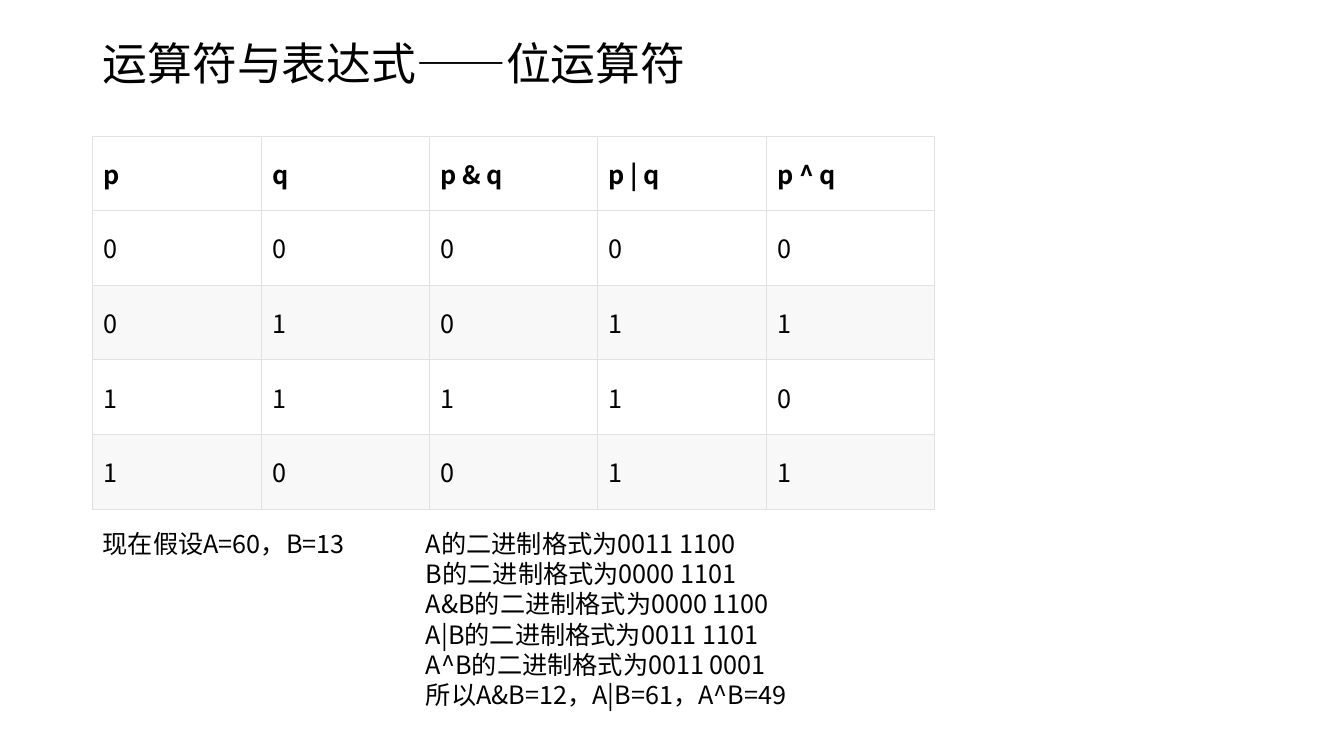
from dataclasses import dataclass

from lxml import etree
from pptx import Presentation, util as u
from pptx.dml.color import RGBColor
from pptx.enum import text
from pptx.oxml import ns


@dataclass(frozen=True)
class Theme:
    font: str = "Noto Sans CJK SC"
    ink: str = "000000"
    plain: str = "FFFFFF"
    band: str = "F8F8F8"
    rule: str = "DFE2E5"
    line: float = 0.6
    head: int = 32
    body: int = 18


@dataclass(frozen=True)
class Grid:
    left: float = 0.92
    top: float = 1.35
    col: float = 1.67
    row: float = 0.74

    def place(self, col: float, row: float, cols: float, rows: float) -> list[int]:
        return [u.Inches(n) for n in (
            self.left + col * self.col, self.top + row * self.row,
            cols * self.col, rows * self.row)]


@dataclass(frozen=True)
class Note:
    lines: tuple[str, ...]
    col: float
    row: float
    cols: float
    rows: float
    size: int
    space: float = 1.0
    anchor: text.MSO_ANCHOR = text.MSO_ANCHOR.TOP


THEME = Theme()
GRID = Grid()
NOTES = (
    Note(("运算符与表达式——位运算符",), 0, -1.28, 6.89, 0.68,
         THEME.head, 0.9, text.MSO_ANCHOR.MIDDLE),
    Note(("现在假设A=60，B=13",), 0, 5.19, 1.75, 0.54, THEME.body),
    Note(("A的二进制格式为0011 1100",
          "B的二进制格式为0000 1101",
          "A&B的二进制格式为0000 1100",
          "A|B的二进制格式为0011 1101",
          "A^B的二进制格式为0011 0001",
          "所以A&B=12，A|B=61，A^B=49"), 1.92, 5.19, 2.53, 2.59, THEME.body),
)
HEADS = ("p", "q", "p & q", "p | q", "p ^ q")
PAIRS = ((0, 0), (0, 1), (1, 1), (1, 0))


def style(para, size: int, bold: bool = False) -> None:
    font = para.font
    font.size = u.Pt(size)
    font.bold = bold
    font.color.rgb = RGBColor.from_string(THEME.ink)
    font.name = THEME.font
    props = para._p.find(".//" + ns.qn("a:defRPr"))
    etree.SubElement(props, ns.qn("a:ea"), typeface=THEME.font)


def border(cell) -> None:
    props = cell._tc.get_or_add_tcPr()
    for spot, side in enumerate(("lnL", "lnR", "lnT", "lnB")):
        line = etree.Element(ns.qn("a:" + side), w=str(u.Pt(THEME.line)))
        fill = etree.SubElement(line, ns.qn("a:solidFill"))
        etree.SubElement(fill, ns.qn("a:srgbClr"), val=THEME.rule)
        props.insert(spot, line)


def write(slide, note: Note) -> None:
    box = slide.shapes.add_textbox(
        *GRID.place(note.col, note.row, note.cols, note.rows))
    frame = box.text_frame
    frame.word_wrap = True
    frame.vertical_anchor = note.anchor
    frame.text = "\n".join(note.lines)
    for para in frame.paragraphs:
        para.line_spacing = note.space
        style(para, note.size)


def tabulate(slide) -> None:
    rows = [HEADS] + [(p, q, p & q, p | q, p ^ q) for p, q in PAIRS]
    table = slide.shapes.add_table(
        len(rows), len(HEADS),
        *GRID.place(0, 0, len(HEADS), len(rows))).table
    table.first_row = table.horz_banding = False
    for r, row in enumerate(rows):
        shade = THEME.band if r and r % 2 == 0 else THEME.plain
        for c, value in enumerate(row):
            cell = table.cell(r, c)
            cell.text = str(value)
            cell.vertical_anchor = text.MSO_ANCHOR.MIDDLE
            cell.margin_left = cell.margin_right = u.Inches(0.11)
            cell.fill.solid()
            cell.fill.fore_color.rgb = RGBColor.from_string(shade)
            border(cell)
            style(cell.text_frame.paragraphs[0], THEME.body, r == 0)


def main() -> None:
    deck = Presentation()
    deck.slide_width = u.Inches(13.33)
    deck.slide_height = u.Inches(7.5)
    slide = deck.slides.add_slide(deck.slide_layouts[6])
    tabulate(slide)
    for note in NOTES:
        write(slide, note)
    deck.save("out.pptx")


if __name__ == "__main__":
    main()
